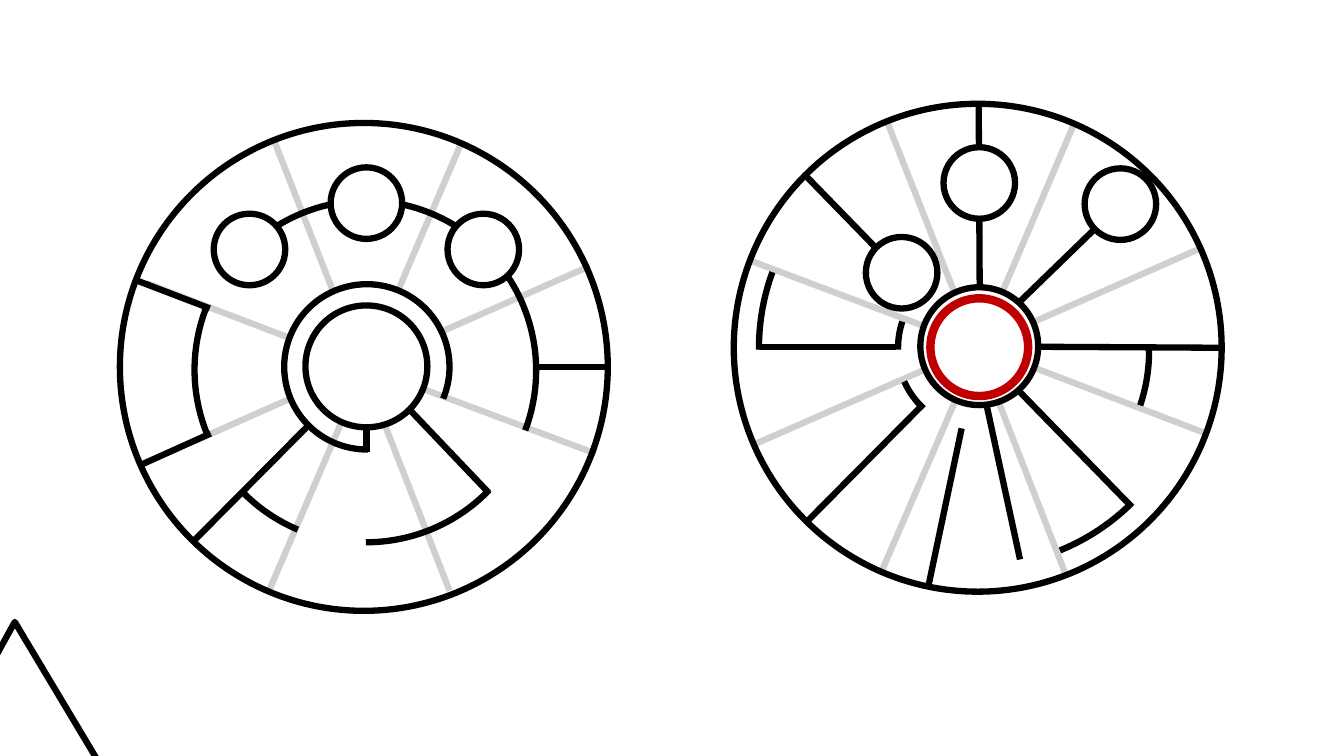
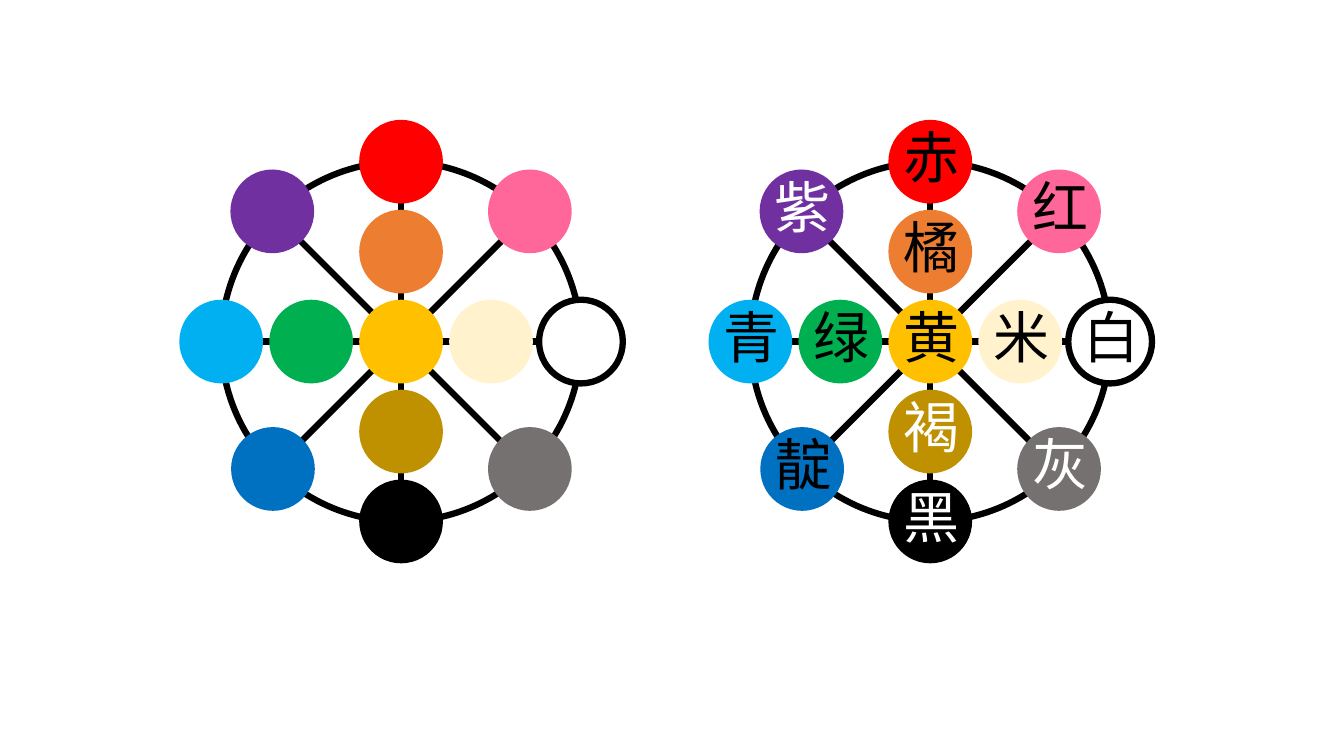
from dataclasses import dataclass
from typing import Any, NamedTuple

from lxml.etree import SubElement
from pptx import Presentation
from pptx.dml.color import RGBColor
from pptx.enum.shapes import MSO_CONNECTOR, MSO_SHAPE
from pptx.enum.text import MSO_ANCHOR, PP_ALIGN
from pptx.oxml.ns import qn
from pptx.util import Pt

FONT = "Noto Sans CJK SC"
STROKE = 4.5
COLORS = {
    "black": "000000",
    "white": "FFFFFF",
    "spoke": "D0CECE",
    "core": "C00000",
    "red": "FF0000",
    "pink": "FF6699",
    "purple": "7030A0",
    "orange": "ED7D31",
    "yellow": "FFC000",
    "green": "00B050",
    "cream": "FFF2CC",
    "sky": "00B0F0",
    "blue": "0070C0",
    "brown": "BF9000",
    "gray": "767171",
}


class Segment(NamedTuple):
    x1: float
    y1: float
    x2: float
    y2: float


class Arc(NamedTuple):
    x: float
    y: float
    diameter: float
    start: float
    end: float


class Circle(NamedTuple):
    x: float
    y: float
    diameter: float
    fill: str | None = "white"
    line: str | None = "black"
    width: float = STROKE


@dataclass(frozen=True)
class Dial:
    spokes: list[Segment]
    lines: list[Segment]
    arcs: list[Arc]
    circles: list[Circle]


@dataclass(frozen=True)
class Disc:
    dx: float
    dy: float
    fill: str
    label: str
    label_color: str = "black"
    line: str | None = None


NODE = 51.1
RING = 348.5

LEFT_DIAL = Dial(
    spokes=[
        Segment(244.8, 299.5, 192.2, 421.9),
        Segment(273.6, 300.2, 321.1, 421.9),
        Segment(425.5, 324, 302.4, 277.9),
        Segment(421.2, 190.1, 315.4, 236.9),
        Segment(208.1, 241.9, 104.4, 202.3),
        Segment(206.6, 285.1, 138.2, 315.4),
        Segment(195.1, 98.6, 237.6, 207.4),
        Segment(329.8, 101.5, 284.4, 207.4),
    ],
    lines=[
        Segment(434.2, 262.1, 383.8, 262.1),
        Segment(292.3, 292.3, 349.2, 352.1),
        Segment(221.8, 302.4, 138.2, 386.6),
        Segment(149.8, 220.3, 97.2, 200.2),
        Segment(150.5, 309.6, 99.4, 332.6),
        Segment(261.7, 305.3, 261.7, 322.6),
    ],
    arcs=[
        Arc(261.7, 264.6, 242.6, 237.9, 20.7),
        Arc(261.4, 264.2, 244.8, 157.7, 201.5),
        Arc(262.1, 262.1, 118.1, 89.1, 22.6),
        Arc(261.4, 265, 244.8, 44, 90),
        Arc(260.6, 265.7, 244.8, 113, 135.9),
    ],
    circles=[
        Circle(259.9, 262.1, RING, fill=None),
        Circle(261.7, 261.7, 87.1),
        Circle(178.2, 178.2, NODE),
        Circle(261.7, 145.1, NODE),
        Circle(345.2, 178.2, NODE),
    ],
)

RIGHT_DIAL = Dial(
    spokes=[
        Segment(682.6, 285.8, 630, 407.5),
        Segment(712.8, 285.8, 761.8, 411.8),
        Segment(863.3, 310.3, 740.9, 263.5),
        Segment(859.7, 176.4, 735.8, 231.1),
        Segment(664.6, 234.7, 535, 185.8),
        Segment(660.2, 264.2, 538.6, 317.5),
        Segment(632.9, 85, 686.2, 220.3),
        Segment(767.5, 87.8, 712.8, 216),
    ],
    lines=[
        Segment(686.9, 306, 663.1, 419),
        Segment(872.6, 248.4, 741.6, 247.7),
        Segment(699.1, 73.4, 699.8, 205.2),
        Segment(728.6, 280.1, 807.8, 361.4),
        Segment(659.5, 288.7, 576, 373),
        Segment(799.9, 146.2, 727.2, 216.7),
        Segment(575.3, 125.3, 625.7, 177.1),
        Segment(640.1, 247.7, 542.2, 247.7),
        Segment(704.9, 290.2, 728.6, 399.6),
    ],
    arcs=[
        Arc(699.5, 250.9, 242.6, 358.9, 18.6),
        Arc(699.8, 248.4, 118.1, 132.9, 155.8),
        Arc(698.4, 248.4, 312.5, 179.5, 200.2),
        Arc(698.4, 248.4, 312.5, 45.1, 67.9),
        Arc(700.6, 248.4, 118.1, 178.6, 198.4),
    ],
    circles=[
        Circle(698.4, 248.4, RING, fill=None),
        Circle(699.5, 247.3, 84.2),
        Circle(800.3, 145.8, NODE),
        Circle(699.5, 130.7, NODE),
        Circle(644, 194.8, NODE),
        Circle(699.5, 248, 69.8, line="core", width=6),
    ],
)

RADIUS = 128.5
INNER = RADIUS / 2
DIAGONAL = 92
DISC_SIZE = 59.8
WHEEL_Y = 244
LABELED_WHEEL_X = 664.5
PLAIN_WHEEL_X = LABELED_WHEEL_X - 378
DISCS = [
    Disc(0, -RADIUS, "red", "赤"),
    Disc(DIAGONAL, -DIAGONAL - 1, "pink", "红"),
    Disc(-DIAGONAL, -DIAGONAL - 1, "purple", "紫", "white"),
    Disc(0, -INNER, "orange", "橘"),
    Disc(0, 0, "yellow", "黄"),
    Disc(-INNER, 0, "green", "绿"),
    Disc(RADIUS, 0, "white", "白", line="black"),
    Disc(INNER, 0, "cream", "米"),
    Disc(-RADIUS, 0, "sky", "青"),
    Disc(-DIAGONAL + 0.5, DIAGONAL - 1, "blue", "靛"),
    Disc(0, RADIUS, "black", "黑", "white"),
    Disc(DIAGONAL, DIAGONAL - 1, "gray", "灰", "white"),
    Disc(0, INNER, "brown", "褐", "white"),
]


def rgb(name: str) -> RGBColor:
    return RGBColor.from_string(COLORS[name])


def add_segment(shapes: Any, segment: Segment, color: str = "black") -> None:
    connector = shapes.add_connector(MSO_CONNECTOR.STRAIGHT, *(Pt(value) for value in segment))
    connector.line.color.rgb = rgb(color)
    connector.line.width = Pt(STROKE)
    SubElement(connector.element.spPr, qn("a:effectLst"))


def add_figure(shapes: Any, kind: MSO_SHAPE, x: float, y: float, width: float, height: float, *,
               fill: str | None = None, line: str | None = "black", stroke: float = STROKE) -> Any:
    shape = shapes.add_shape(kind, Pt(x - width / 2), Pt(y - height / 2), Pt(width), Pt(height))
    shape.shadow.inherit = False
    if fill:
        shape.fill.solid()
        shape.fill.fore_color.rgb = rgb(fill)
    else:
        shape.fill.background()
    if line:
        shape.line.color.rgb = rgb(line)
        shape.line.width = Pt(stroke)
    else:
        shape.line.fill.background()
    return shape


def add_circle(shapes: Any, circle: Circle) -> None:
    add_figure(shapes, MSO_SHAPE.OVAL, circle.x, circle.y, circle.diameter, circle.diameter,
               fill=circle.fill, line=circle.line, stroke=circle.width)


def add_arc(shapes: Any, arc: Arc) -> None:
    shape = add_figure(shapes, MSO_SHAPE.ARC, arc.x, arc.y, arc.diameter, arc.diameter)
    for index, degrees in enumerate((arc.start, arc.end)):
        shape.adjustments[index] = degrees * 0.6


def add_text(shapes: Any, text: str, x: float, y: float, *, width: float = 50.4,
             height: float = 59, size: float = 40, color: str = "black") -> None:
    box = shapes.add_textbox(Pt(x - width / 2), Pt(y - height / 2), Pt(width), Pt(height))
    frame = box.text_frame
    frame.word_wrap = True
    frame.vertical_anchor = MSO_ANCHOR.MIDDLE
    frame.margin_left = frame.margin_right = frame.margin_top = frame.margin_bottom = 0
    para = frame.paragraphs[0]
    para.alignment = PP_ALIGN.CENTER
    span = para.add_run()
    span.text = text
    span.font.size = Pt(size)
    span.font.name = FONT
    span.font.color.rgb = rgb(color)
    SubElement(span.font._element, qn("a:ea")).set("typeface", FONT)


def draw_dial(shapes: Any, dial: Dial) -> None:
    for spoke in dial.spokes:
        add_segment(shapes, spoke, "spoke")
    for line in dial.lines:
        add_segment(shapes, line)
    for arc in dial.arcs:
        add_arc(shapes, arc)
    for circle in dial.circles:
        add_circle(shapes, circle)


def draw_color_wheel(shapes: Any, x: float, y: float) -> None:
    group = shapes.add_group_shape().shapes
    for dx, dy in ((RADIUS, 0), (0, RADIUS), (DIAGONAL, DIAGONAL), (DIAGONAL, -DIAGONAL)):
        add_segment(group, Segment(x - dx, y - dy, x + dx, y + dy))
    add_circle(group, Circle(x, y, 2 * RADIUS, fill=None))
    for disc in DISCS:
        add_circle(group, Circle(x + disc.dx, y + disc.dy, DISC_SIZE, disc.fill, disc.line))


def label_color_wheel(shapes: Any, x: float, y: float) -> None:
    for disc in DISCS:
        add_text(shapes, disc.label, x + disc.dx + 1, y + disc.dy - 4, color=disc.label_color)


def main() -> None:
    deck = Presentation()
    deck.slide_width, deck.slide_height = Pt(960), Pt(540)
    blank = deck.slide_layouts[6]

    dial_page = deck.slides.add_slide(blank)
    for dial in (LEFT_DIAL, RIGHT_DIAL):
        draw_dial(dial_page.shapes, dial)
    triangle = add_figure(dial_page.shapes, MSO_SHAPE.ISOSCELES_TRIANGLE, -5.8, 539.6, 146.9, 126)
    triangle.rotation = 239.1

    color_page = deck.slides.add_slide(blank)
    for x in (PLAIN_WHEEL_X, LABELED_WHEEL_X):
        draw_color_wheel(color_page.shapes, x, WHEEL_Y)
    label_color_wheel(color_page.shapes, LABELED_WHEEL_X, WHEEL_Y)

    deck.save("out.pptx")


if __name__ == "__main__":
    main()
